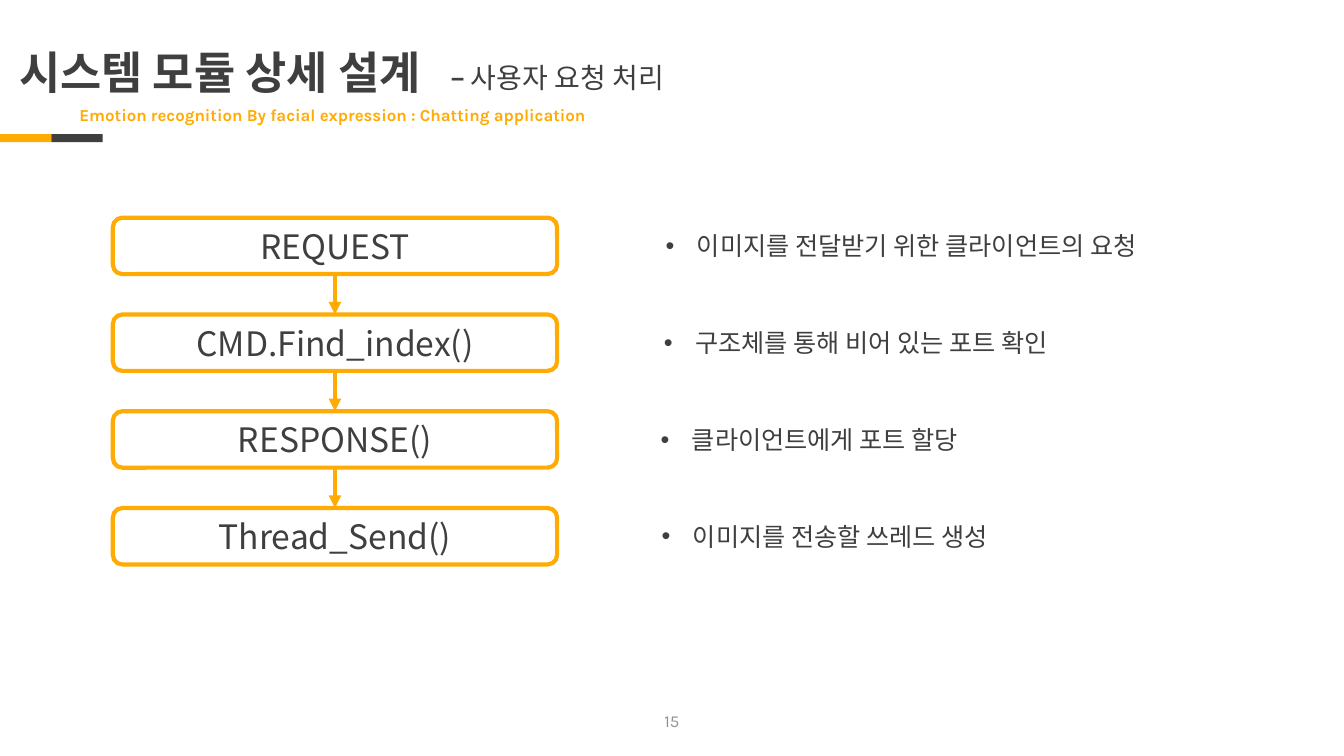
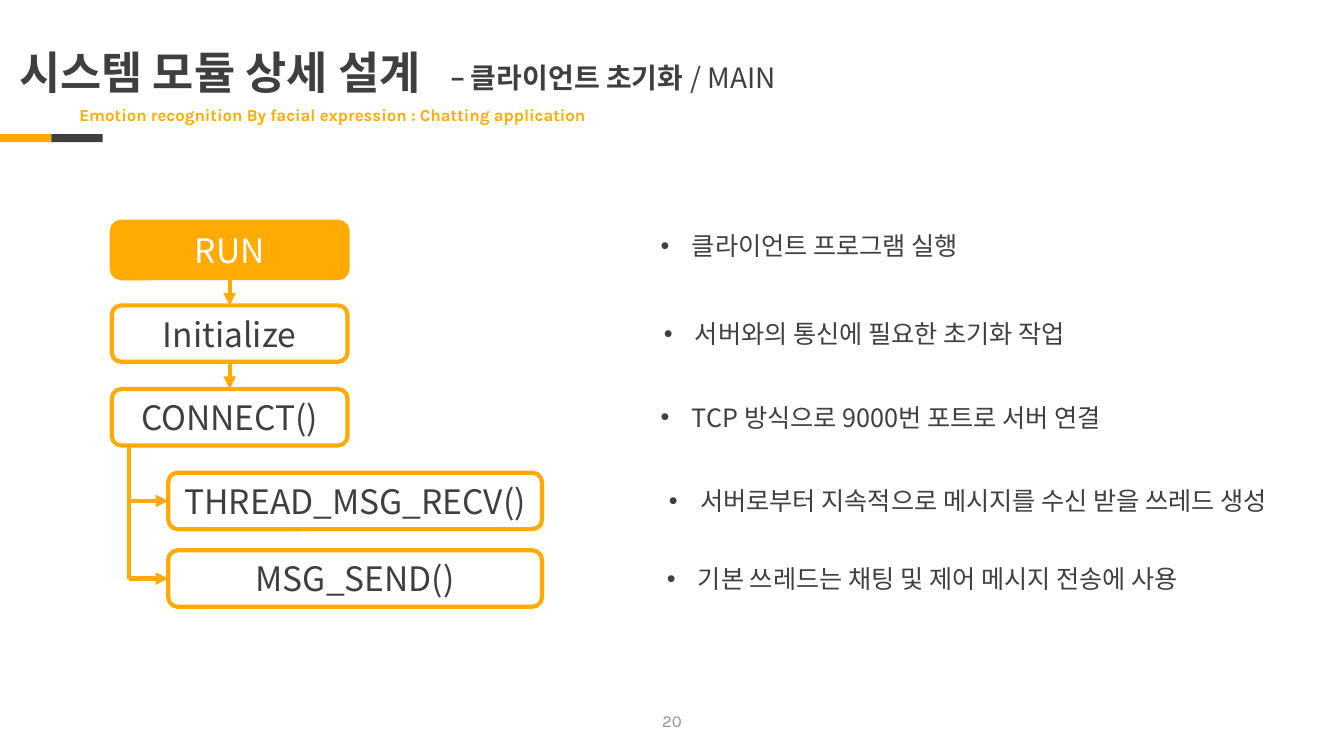
"""Build two slides that detail the modules of a chat system as flow charts with notes."""
from dataclasses import dataclass
from typing import Optional

from lxml.etree import SubElement
from pptx import Presentation
from pptx.dml.color import RGBColor
from pptx.enum.shapes import MSO_CONNECTOR, MSO_SHAPE
from pptx.enum.text import MSO_ANCHOR, MSO_AUTO_SIZE, PP_ALIGN
from pptx.oxml.ns import qn
from pptx.util import Inches, Pt

COLORS = {"accent": "FFAB03", "dark": "3F3F3F", "muted": "929292", "white": "FFFFFF"}
KOREAN, LATIN, DASH = "Noto Sans CJK KR", "Karla", "Manrope"
TITLE = "시스템 모듈 상세 설계"
SUBTITLE = "Emotion recognition By facial expression : Chatting application"
STEP_HEIGHT, NOTE_HEIGHT, BAR_WIDTH = 0.56, 0.4, 0.51
TRUNK_LEFT = 1.28


@dataclass(frozen=True)
class Span:
    text: str
    font: str = KOREAN
    bold: bool = False


@dataclass(frozen=True)
class Step:
    label: str
    note: str
    note_left: float
    note_width: float
    filled: bool = False
    child: bool = False
    lift: float = 0
    note_lift: float = 0


@dataclass(frozen=True)
class Page:
    number: int
    topic: tuple[Span, ...]
    topic_width: float
    left: float
    top: float
    width: float
    pitch: float
    steps: tuple[Step, ...]


PAGES = (
    Page(15, (Span("– ", DASH, True), Span("사용자 요청 처리")), 2.46, 1.12, 2.16, 4.41, 0.96, (
        Step("REQUEST", "이미지를 전달받기 위한 클라이언트의 요청", 6.51, 5.17),
        Step("CMD.Find_index()", "구조체를 통해 비어 있는 포트 확인", 6.49, 4.28),
        Step("RESPONSE()", "클라이언트에게 포트 할당", 6.46, 3.32),
        Step("Thread_Send()", "이미지를 전송할 쓰레드 생성", 6.47, 3.64),
    )),
    Page(20, (Span("– ", DASH, True), Span("클라이언트 초기화 ", bold=True), Span("/ MAIN")),
         3.81, 1.11, 2.2, 2.34, 0.83, (
        Step("RUN", "클라이언트 프로그램 실행", 6.46, 3.32, filled=True, note_lift=0.04),
        Step("Initialize", "서버와의 통신에 필요한 초기화 작업", 6.49, 4.44),
        Step("CONNECT()", "TCP 방식으로 9000번 포트로 서버 연결", 6.46, 4.98),
        Step("THREAD_MSG_RECV()", "서버로부터 지속적으로 메시지를 수신 받을 쓰레드 생성",
             6.54, 6.53, child=True),
        Step("MSG_SEND()", "기본 쓰레드는 채팅 및 제어 메시지 전송에 사용",
             6.52, 5.64, child=True, lift=0.06),
    )),
)
CHILD_LEFT, CHILD_WIDTH = 1.67, 3.71


def color(name: str) -> RGBColor:
    return RGBColor.from_string(COLORS[name])


def set_typeface(font, name: str, bold: bool) -> None:
    font.name = name
    font.bold = bold
    SubElement(font._element, qn("a:ea"), typeface=name)


def style_paragraph(para, size: int, tint: str, name: str = KOREAN, bold: bool = False) -> None:
    para.font.size = Pt(size)
    para.font.color.rgb = color(tint)
    set_typeface(para.font, name, bold)


def add_text(slide, left: float, top: float, width: float, height: float):
    box = slide.shapes.add_textbox(Inches(left), Inches(top), Inches(width), Inches(height))
    box.text_frame.word_wrap = True
    return box.text_frame


def fit_to_text(frame) -> None:
    frame.word_wrap = False
    frame.auto_size = MSO_AUTO_SIZE.SHAPE_TO_FIT_TEXT


def add_bullet(para) -> None:
    properties = para._p.get_or_add_pPr()
    properties.set("marL", str(Inches(0.31)))
    properties.set("indent", str(-Inches(0.31)))
    tint = SubElement(properties, qn("a:buClr"))
    SubElement(tint, qn("a:srgbClr"), val=COLORS["dark"])
    SubElement(properties, qn("a:buFont"), typeface="Arial")
    SubElement(properties, qn("a:buChar"), char="•")


def add_line(slide, start: tuple[float, float], end: tuple[float, float], arrow: bool = True):
    line = slide.shapes.add_connector(
        MSO_CONNECTOR.STRAIGHT, *(Inches(value) for value in start + end))
    line.line.color.rgb = color("accent")
    line.line.width = Pt(3)
    if arrow:
        SubElement(line.line._get_or_add_ln(), qn("a:tailEnd"), type="triangle")
    SubElement(line._element.spPr, qn("a:effectLst"))
    return line


def add_frame(slide, page: Page) -> None:
    for index, name in enumerate(("accent", "dark")):
        bar = slide.shapes.add_shape(
            MSO_SHAPE.RECTANGLE, Inches(index * BAR_WIDTH), Inches(1.33),
            Inches(BAR_WIDTH), Inches(0.08))
        bar.shadow.inherit = False
        bar.fill.solid()
        bar.fill.fore_color.rgb = color(name)
        bar.line.fill.background()

    title = slide.shapes.title
    title.left, title.top = Inches(0.09), Inches(0.13)
    title.width, title.height = Inches(11.5), Inches(1.22)
    title.text_frame.text = TITLE
    title.text_frame.auto_size = MSO_AUTO_SIZE.NONE
    title.text_frame.vertical_anchor = MSO_ANCHOR.MIDDLE
    para = title.text_frame.paragraphs[0]
    para.alignment = PP_ALIGN.LEFT
    para.line_spacing = 0.9
    style_paragraph(para, 32, "dark", bold=True)

    subtitle = add_text(slide, 0.69, 0.95, 11.5, 0.4)
    subtitle.text = SUBTITLE
    subtitle.vertical_anchor = MSO_ANCHOR.MIDDLE
    subtitle.paragraphs[0].line_spacing = 0.9
    style_paragraph(subtitle.paragraphs[0], 12, "accent", LATIN, True)

    topic = add_text(slide, 4.37, 0.55, page.topic_width, 0.44)
    fit_to_text(topic)
    para = topic.paragraphs[0]
    para.font.size = Pt(20)
    para.font.color.rgb = color("dark")
    for span in page.topic:
        run = para.add_run()
        run.text = span.text
        set_typeface(run.font, span.font, span.bold)

    footer = add_text(slide, 5.17, 6.95, 3, 0.4)
    footer.text = str(page.number)
    footer.vertical_anchor = MSO_ANCHOR.MIDDLE
    footer.paragraphs[0].alignment = PP_ALIGN.CENTER
    style_paragraph(footer.paragraphs[0], 12, "muted", LATIN)


def add_step(slide, step: Step, left: float, top: float, width: float):
    box = slide.shapes.add_shape(
        MSO_SHAPE.ROUNDED_RECTANGLE, Inches(left), Inches(top), Inches(width), Inches(STEP_HEIGHT))
    box.shadow.inherit = False
    if step.filled:
        box.fill.solid()
        box.fill.fore_color.rgb = color("accent")
    else:
        box.fill.background()
    box.line.color.rgb = color("accent")
    box.line.width = Pt(3)
    box.text_frame.text = step.label
    box.text_frame.vertical_anchor = MSO_ANCHOR.MIDDLE
    para = box.text_frame.paragraphs[0]
    para.alignment = PP_ALIGN.CENTER
    style_paragraph(para, 24, "white" if step.filled else "dark")

    note_top = top + (STEP_HEIGHT - NOTE_HEIGHT) / 2 - step.note_lift
    note = add_text(slide, step.note_left, note_top, step.note_width, NOTE_HEIGHT)
    fit_to_text(note)
    note.text = step.note
    add_bullet(note.paragraphs[0])
    style_paragraph(note.paragraphs[0], 18, "dark")
    return box


def add_flow(slide, page: Page) -> None:
    previous = None
    trunk_top: Optional[float] = None
    trunk_end = 0.0
    for index, step in enumerate(page.steps):
        top = page.top + index * page.pitch - step.lift
        if step.child:
            box = add_step(slide, step, CHILD_LEFT, top, CHILD_WIDTH)
            trunk_end = top + STEP_HEIGHT / 2
            branch = add_line(slide, (TRUNK_LEFT, trunk_end), (CHILD_LEFT, trunk_end))
            branch.end_connect(box, 1)
            continue
        box = add_step(slide, step, page.left, top, page.width)
        trunk_top = top + STEP_HEIGHT
        if previous is not None:
            arrow = add_line(slide, (page.left, top), (page.left, top))
            arrow.begin_connect(previous, 2)
            arrow.end_connect(box, 0)
        previous = box
    if trunk_end and trunk_top is not None:
        add_line(slide, (TRUNK_LEFT, trunk_top), (TRUNK_LEFT, trunk_end), arrow=False)


def main() -> None:
    deck = Presentation()
    deck.slide_width, deck.slide_height = Inches(13.34), Inches(7.5)
    for page in PAGES:
        slide = deck.slides.add_slide(deck.slide_layouts[5])
        add_frame(slide, page)
        add_flow(slide, page)
    deck.save("out.pptx")


if __name__ == "__main__":
    main()
